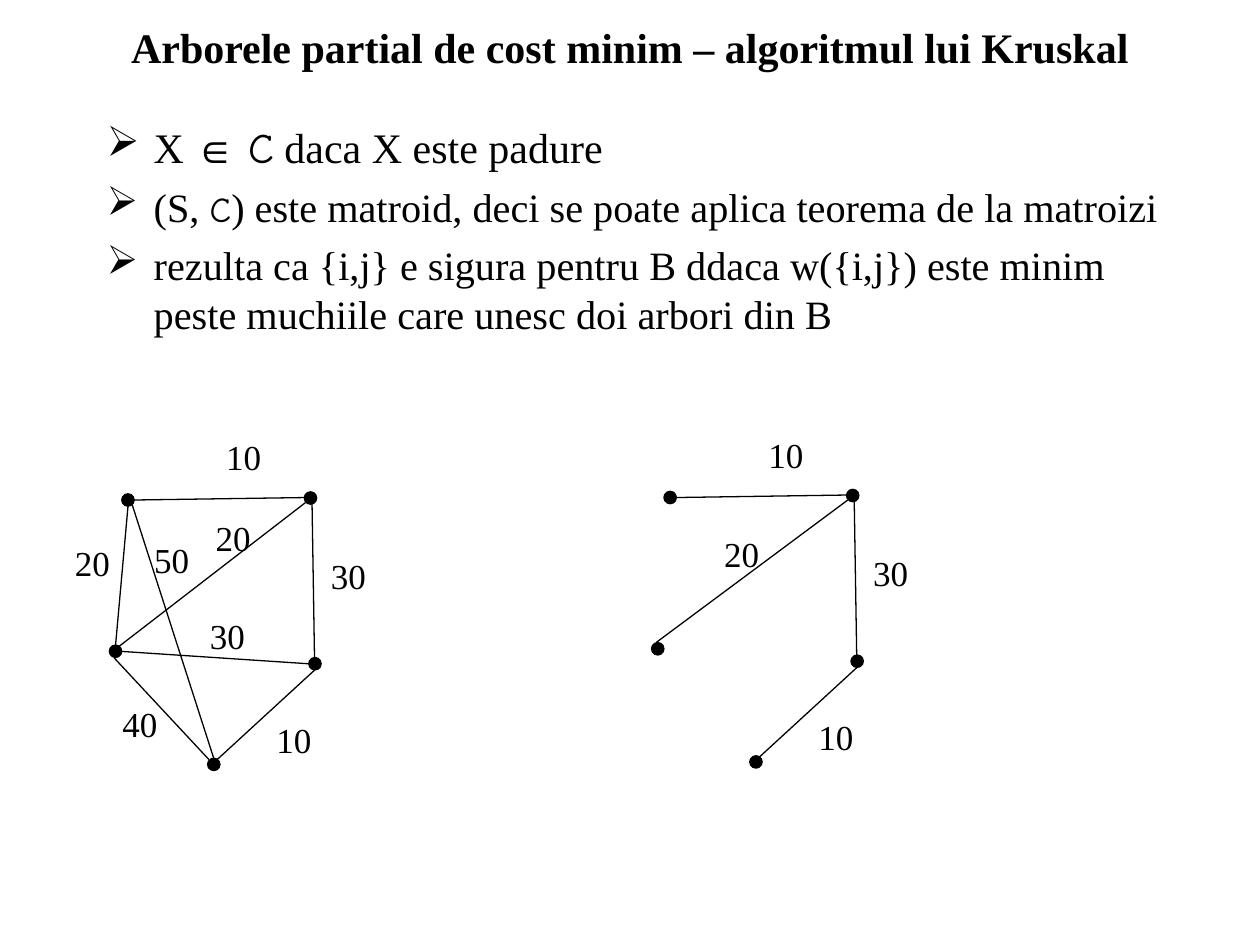
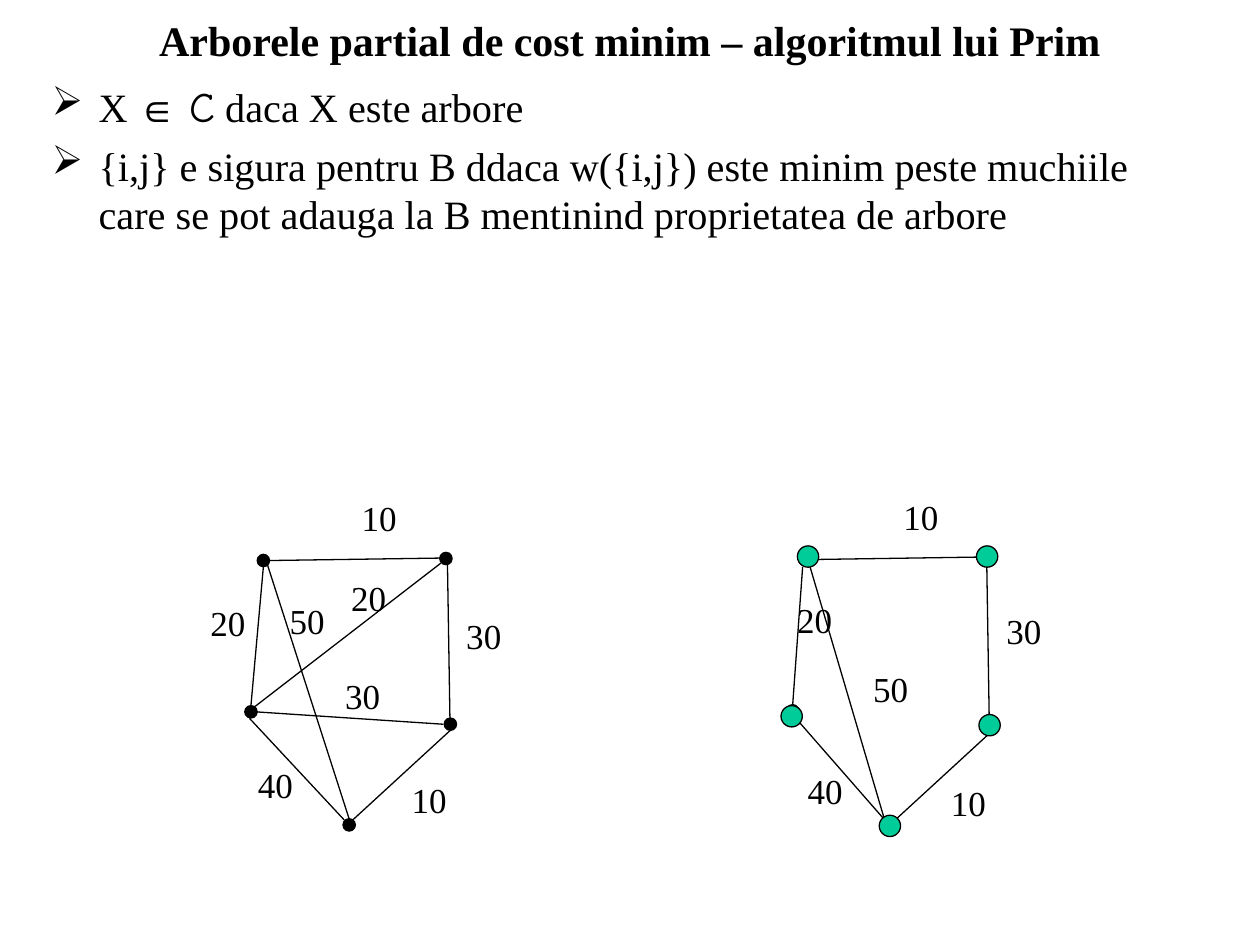
from dataclasses import dataclass, replace

from lxml.etree import SubElement
from pptx import Presentation
from pptx.dml.color import RGBColor
from pptx.enum.shapes import MSO_CONNECTOR, MSO_SHAPE
from pptx.enum.text import MSO_ANCHOR, MSO_AUTO_SIZE, PP_ALIGN
from pptx.oxml.ns import qn
from pptx.util import Cm, Pt

BLACK = "000000"
GREEN = "00CC99"
SERIF = "Times New Roman"
SANS = "Arial"
SCRIPT = "Comic Neue"
LINE_WIDTH = Pt(0.75)
BULLET_INDENT = Cm(0.95)
DOT_SIZE = 0.25
VISITED_SIZE = 0.43


@dataclass(frozen=True)
class Edge:
    """A weighted edge; points are in cm from the graph's origin."""
    weight: int
    start: tuple
    end: tuple
    label: tuple


NODES = {
    "A": (0, 0),
    "B": (3.68, -0.04),
    "C": (-0.25, 3.05),
    "D": (3.77, 3.3),
    "E": (1.73, 5.33),
}
EDGES = {
    "AB": Edge(10, (0.1, 0), (3.56, -0.05), (1.73, -1.42)),
    "AC": Edge(20, (0, 0.13), (-0.25, 2.92), (-1.32, 0.71)),
    "BD": Edge(30, (3.71, 0.05), (3.76, 3.18), (3.84, 0.97)),
    "CD": Edge(30, (-0.15, 3.05), (3.63, 3.3), (1.4, 2.18)),
    "CE": Edge(40, (-0.28, 3.18), (1.63, 5.23), (-0.36, 3.96)),
    "DE": Edge(10, (3.76, 3.43), (1.8, 5.23), (2.74, 4.27)),
    "AE": Edge(50, (0.08, 0.08), (1.73, 5.21), (0.28, 0.66)),
    "BC": Edge(20, (3.58, 0.05), (-0.18, 2.95), (1.52, 0.2)),
}
KRUSKAL_EDGES = {
    "AB": EDGES["AB"],
    "BC": replace(EDGES["BC"], end=(-0.28, 2.92), label=(0.84, 0.58)),
    "BD": EDGES["BD"],
    "DE": EDGES["DE"],
}
PRIM_EDGES = {
    "AB": EDGES["AB"],
    "AC": Edge(20, (-0.05, 0.15), (-0.25, 2.92), (-0.41, 0.66)),
    "BD": Edge(30, (3.66, -0.03), (3.71, 3.12), (3.81, 0.89)),
    "DE": Edge(10, (3.71, 3.51), (1.75, 5.31), (2.69, 4.34)),
    "AE": Edge(50, (0.08, 0.08), (1.65, 5.41), (1.12, 2.06)),
    "CE": Edge(40, (-0.1, 3.3), (1.57, 5.21), (-0.2, 4.11)),
}
VISITED_NODES = {
    "A": (0.06, -0.06),
    "B": (3.67, -0.06),
    "C": (-0.27, 3.16),
    "D": (3.72, 3.34),
    "E": (1.71, 5.37),
}

KRUSKAL_POINTS = [
    [("X ", 24, SERIF), ("∈ ", 24, SANS), ("C", 24, SCRIPT),
     (" daca X este padure", 24, SERIF)],
    [("(S, ", 23, SERIF), ("C", 20, SCRIPT),
     (") este matroid, deci se poate aplica teorema de la matroizi", 23, SERIF)],
    [("rezulta ca {i,j} e sigura pentru B ddaca w({i,j}) este minim "
      "peste muchiile care unesc doi arbori din B", 23, SERIF)],
]
PRIM_POINTS = [
    [("X ", 23, SERIF), ("∈ ", 23, SANS), ("C", 24, SCRIPT),
     (" daca X este arbore", 23, SERIF)],
    [("{i,j} e sigura pentru B ddaca w({i,j}) este minim peste muchiile "
      "care se pot adauga la B mentinind proprietatea de arbore", 23, SERIF)],
]


def color(value):
    """Turn a hex string into a colour."""
    return RGBColor.from_string(value)


def format_run(run, size, font=SERIF, bold=False):
    """Set the font of one run."""
    run.font.size = Pt(size)
    run.font.name = font
    run.font.bold = bold
    run.font.color.rgb = color(BLACK)


def shift(origin, point):
    """Move a point of a graph to its place on the slide, in cm."""
    return origin[0] + point[0], origin[1] + point[1]


def add_titled_slide(presentation, title, title_height):
    """Add a title-only slide with a bold centred title."""
    slide = presentation.slides.add_slide(presentation.slide_layouts[5])
    shape = slide.shapes.title
    shape.left, shape.top = Cm(1.9), Cm(0)
    shape.width, shape.height = Cm(21.6), Cm(title_height)
    text_frame = shape.text_frame
    text_frame.text = title
    text_frame.auto_size = MSO_AUTO_SIZE.NONE
    text_frame.vertical_anchor = MSO_ANCHOR.MIDDLE
    paragraph = text_frame.paragraphs[0]
    paragraph.alignment = PP_ALIGN.CENTER
    format_run(paragraph.runs[0], 24, bold=True)
    return slide


def add_arrow_bullet(paragraph):
    """Give a paragraph a hanging black arrow bullet."""
    properties = paragraph._p.get_or_add_pPr()
    properties.set("marL", str(BULLET_INDENT))
    properties.set("indent", str(-BULLET_INDENT))
    bullet_color = SubElement(properties, qn("a:buClr"))
    SubElement(bullet_color, qn("a:srgbClr")).set("val", BLACK)
    SubElement(properties, qn("a:buChar")).set("char", "➢")


def add_bullets(slide, left, top, width, height, points):
    """Add a text box with one bulleted paragraph per point."""
    box = slide.shapes.add_textbox(Cm(left), Cm(top), Cm(width), Cm(height))
    text_frame = box.text_frame
    text_frame.word_wrap = True
    for index, point in enumerate(points):
        paragraph = text_frame.add_paragraph() if index else text_frame.paragraphs[0]
        add_arrow_bullet(paragraph)
        if index:
            paragraph.space_before = Pt(5.8)
        for text, size, font in point:
            run = paragraph.add_run()
            run.text = text
            format_run(run, size, font)


def add_node(slide, center, size, fill):
    """Draw a round node around its centre."""
    left, top = center[0] - size / 2, center[1] - size / 2
    shape = slide.shapes.add_shape(
        MSO_SHAPE.OVAL, Cm(left), Cm(top), Cm(size), Cm(size))
    shape.shadow.inherit = False
    shape.fill.solid()
    shape.fill.fore_color.rgb = color(fill)
    shape.line.color.rgb = color(BLACK)
    shape.line.width = LINE_WIDTH


def add_edge_line(slide, start, end):
    """Draw a thin black line between two points."""
    line = slide.shapes.add_connector(
        MSO_CONNECTOR.STRAIGHT, Cm(start[0]), Cm(start[1]), Cm(end[0]), Cm(end[1]))
    line.line.color.rgb = color(BLACK)
    line.line.width = LINE_WIDTH
    SubElement(line._element.spPr, qn("a:effectLst"))


def add_weight(slide, position, weight):
    """Write the weight of an edge."""
    box = slide.shapes.add_textbox(
        Cm(position[0]), Cm(position[1]), Cm(1.22), Cm(1.12))
    text_frame = box.text_frame
    text_frame.word_wrap = False
    text_frame.auto_size = MSO_AUTO_SIZE.SHAPE_TO_FIT_TEXT
    text_frame.text = str(weight)
    format_run(text_frame.paragraphs[0].runs[0], 20)


def add_nodes(slide, origin, nodes, size, fill):
    """Draw all nodes of a graph."""
    for center in nodes.values():
        add_node(slide, shift(origin, center), size, fill)


def add_graph(slide, origin, edges):
    """Draw the black nodes and the given weighted edges."""
    add_nodes(slide, origin, NODES, DOT_SIZE, BLACK)
    for edge in edges.values():
        add_edge_line(slide, shift(origin, edge.start), shift(origin, edge.end))
    for edge in edges.values():
        add_weight(slide, shift(origin, edge.label), edge.weight)


def add_kruskal_slide(presentation):
    """Build the slide on Kruskal's algorithm."""
    slide = add_titled_slide(
        presentation, "Arborele partial de cost minim – algoritmul lui Kruskal", 1.9)
    add_bullets(slide, 1.9, 2.33, 22.33, 5.41, KRUSKAL_POINTS)
    add_graph(slide, (2.58, 10.08), EDGES)
    add_graph(slide, (13.51, 10.03), KRUSKAL_EDGES)


def add_prim_slide(presentation):
    """Build the slide on Prim's algorithm."""
    slide = add_titled_slide(
        presentation, "Arborele partial de cost minim – algoritmul lui Prim", 1.58)
    add_bullets(slide, 0.79, 1.5, 23.57, 5, PRIM_POINTS)
    add_graph(slide, (5.31, 11.3), EDGES)
    tree_origin = (16.23, 11.28)
    add_graph(slide, tree_origin, PRIM_EDGES)
    add_nodes(slide, tree_origin, VISITED_NODES, VISITED_SIZE, GREEN)


def main():
    """Build and save the presentation."""
    presentation = Presentation()
    presentation.slide_width = Cm(25.4)
    presentation.slide_height = Cm(19.05)
    add_kruskal_slide(presentation)
    add_prim_slide(presentation)
    presentation.save("out.pptx")


if __name__ == "__main__":
    main()
